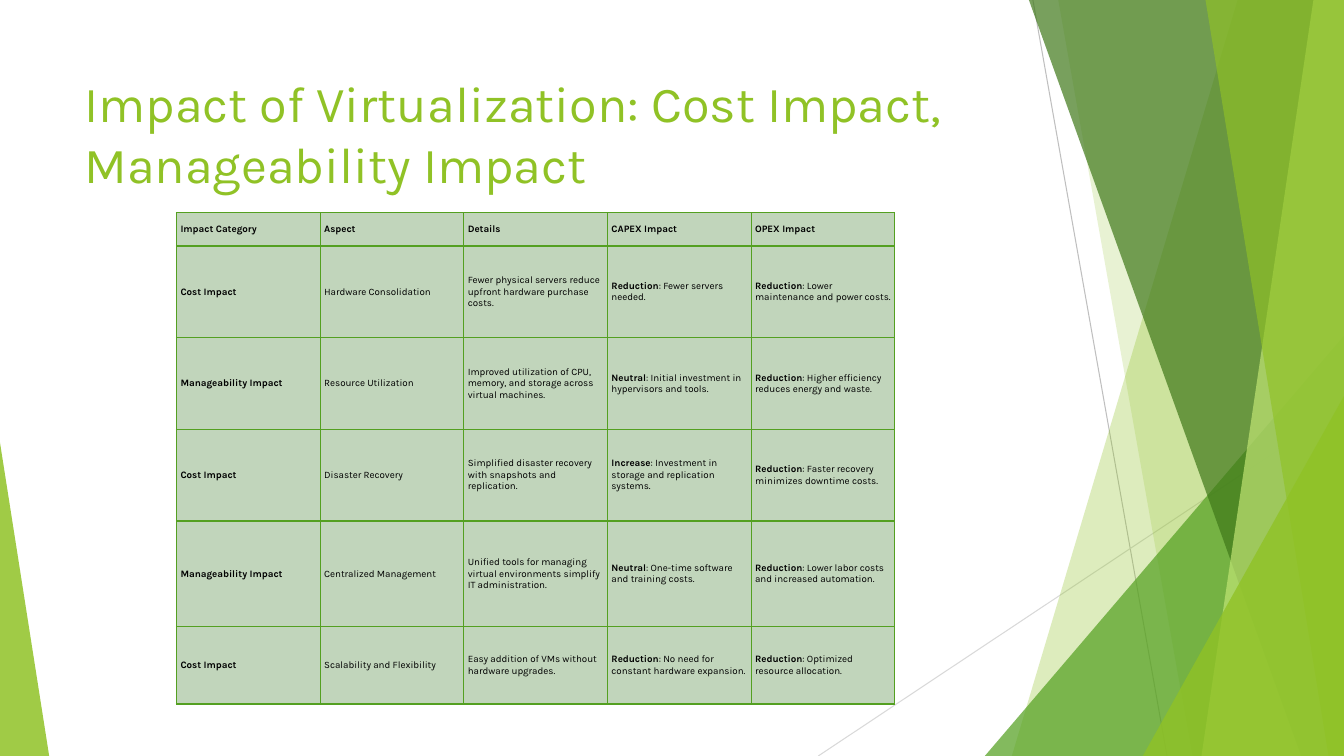
import pptx
import pptx.dml.color
import pptx.enum.shapes
import pptx.enum.text
import pptx.oxml
import pptx.oxml.ns
import pptx.util

Cm = pptx.util.Cm
Pt = pptx.util.Pt
qn = pptx.oxml.ns.qn

PAGE_WIDTH, PAGE_HEIGHT = 33.87, 19.05
FONT = "Karla"
LIME, GREEN, FOREST, PALE_LIME = "90C226", "54A021", "3F7819", "C0E474"
CELL_FILL = "C1D5BB"

ROW_HEIGHTS = [0.84, 2.31, 2.31, 2.31, 2.66, 1.95]
IMPACTS = [
    ["Impact Category", "Aspect", "Details", "CAPEX Impact", "OPEX Impact"],
    ["Cost Impact", "Hardware Consolidation",
     "Fewer physical servers reduce upfront hardware purchase costs.",
     "Reduction: Fewer servers needed.",
     "Reduction: Lower maintenance and power costs."],
    ["Manageability Impact", "Resource Utilization",
     "Improved utilization of CPU, memory, and storage across virtual machines.",
     "Neutral: Initial investment in hypervisors and tools.",
     "Reduction: Higher efficiency reduces energy and waste."],
    ["Cost Impact", "Disaster Recovery",
     "Simplified disaster recovery with snapshots and replication.",
     "Increase: Investment in storage and replication systems.",
     "Reduction: Faster recovery minimizes downtime costs."],
    ["Manageability Impact", "Centralized Management",
     "Unified tools for managing virtual environments simplify IT administration.",
     "Neutral: One-time software and training costs.",
     "Reduction: Lower labor costs and increased automation."],
    ["Cost Impact", "Scalability and Flexibility",
     "Easy addition of VMs without hardware upgrades.",
     "Reduction: No need for constant hardware expansion.",
     "Reduction: Optimized resource allocation."],
]


def color(value):
    return pptx.dml.color.RGBColor.from_string(value)


def paint(shape, fill, opacity):
    """Fill a shape with a see-through colour and drop its outline."""
    shape.shadow.inherit = False
    shape.fill.solid()
    shape.fill.fore_color.rgb = color(fill)
    shape.line.fill.background()
    solid = shape.fill._xPr.find(qn("a:solidFill"))
    alpha = pptx.oxml.parse_xml(
        f'<a:alpha {pptx.oxml.ns.nsdecls("a")} val="{opacity * 1000}"/>')
    solid[0].append(alpha)


def style(span, size, text_color, bold=False):
    span.font.name = FONT
    span.font.size = Pt(size)
    span.font.color.rgb = color(text_color)
    span.font.bold = bold


def add_ray(page, start, end, line_color):
    ray = page.shapes.add_connector(
        pptx.enum.shapes.MSO_CONNECTOR.STRAIGHT,
        *(Cm(value) for value in start + end))
    ray.line.color.rgb = color(line_color)
    ray.line.width = Pt(0.75)
    properties = ray._element.spPr
    properties.append(properties.makeelement(qn("a:effectLst"), {}))


def add_triangle(page, left, top, width, height, apex, fill, opacity):
    triangle = page.shapes.add_shape(
        pptx.enum.shapes.MSO_SHAPE.ISOSCELES_TRIANGLE,
        Cm(left), Cm(top), Cm(width), Cm(height))
    triangle.adjustments[0] = apex
    paint(triangle, fill, opacity)


def add_right_facets(page, left, top, width, height):
    right, bottom = left + width, top + height

    def add_band(top_offset, bottom_offset, fill, opacity):
        builder = page.shapes.build_freeform(
            Cm(left + top_offset), Cm(top))
        builder.add_line_segments([
            (Cm(right), Cm(top)), (Cm(right), Cm(bottom)),
            (Cm(left + bottom_offset), Cm(bottom))], close=True)
        paint(builder.convert_to_shape(), fill, opacity)

    def add_corner(x_offset, y_offset, fill, opacity):
        add_triangle(page, left + x_offset, top + y_offset,
                     width - x_offset, height - y_offset, 1, fill, opacity)

    # Thin rays behind the facets
    add_ray(page, (left + 5.41, top), (left + 8.79, bottom), "BFBFBF")
    add_ray(page, (right, top + 10.24), (left, bottom), "D9D9D9")

    # Overlapping facets, back to front
    add_band(10.57, 4.88, LIME, 30)
    add_band(6.05, 9.43, LIME, 20)
    add_corner(4.2, 8.46, GREEN, 72)
    add_band(5.31, 12.17, FOREST, 70)
    add_band(12.48, 9.66, PALE_LIME, 70)
    add_band(9.76, 12.86, LIME, 65)
    add_corner(8.18, 9.98, LIME, 80)


def add_title(page, left, top, width, height):
    box = page.shapes.add_textbox(Cm(left), Cm(top), Cm(width), Cm(height))
    frame = box.text_frame
    frame.word_wrap = True
    frame.vertical_anchor = pptx.enum.text.MSO_ANCHOR.TOP
    frame.text = "Impact of Virtualization: Cost Impact, Manageability Impact"
    style(frame.paragraphs[0].runs[0], 36, LIME)


def add_borders(cell):
    properties = cell._tc.get_or_add_tcPr()
    for index, side in enumerate(("lnL", "lnR", "lnT", "lnB")):
        border = pptx.oxml.parse_xml(
            f'<a:{side} {pptx.oxml.ns.nsdecls("a")} w="12700"><a:solidFill>'
            f'<a:srgbClr val="{GREEN}"/></a:solidFill></a:{side}>')
        properties.insert(index, border)


def fill_cell(cell, text, bold):
    cell.fill.solid()
    cell.fill.fore_color.rgb = color(CELL_FILL)
    add_borders(cell)
    cell.vertical_anchor = pptx.enum.text.MSO_ANCHOR.MIDDLE
    cell.margin_left = cell.margin_right = Cm(0.1)
    cell.margin_top = cell.margin_bottom = Cm(0.05)

    # The verdict before a colon is bold, its explanation is not
    verdict, colon, explanation = text.partition(":")
    para = cell.text_frame.paragraphs[0]
    para.text = verdict
    style(para.runs[0], 7, "000000", bold or bool(colon))
    if colon:
        span = para.add_run()
        span.text = colon + explanation
        style(span, 7, "000000")


def add_impact_table(page, left, top, width, height):
    column_count = len(IMPACTS[0])
    table = page.shapes.add_table(
        len(IMPACTS), column_count,
        Cm(left), Cm(top), Cm(width), Cm(height)).table
    table.first_row = table.horz_banding = False
    for column in table.columns:
        column.width = Cm(width / column_count)
    for row_index, texts in enumerate(IMPACTS):
        table.rows[row_index].height = Cm(ROW_HEIGHTS[row_index])
        for column_index, text in enumerate(texts):
            fill_cell(table.cell(row_index, column_index), text,
                      bold=row_index == 0 or column_index == 0)


def main():
    deck = pptx.Presentation()
    deck.slide_width, deck.slide_height = Cm(PAGE_WIDTH), Cm(PAGE_HEIGHT)
    page = deck.slides.add_slide(deck.slide_layouts[6])

    # Decoration
    add_right_facets(page, 20.62, 0, PAGE_WIDTH - 20.62, PAGE_HEIGHT)
    add_triangle(page, 0, 11.15, 1.24, PAGE_HEIGHT - 11.15, 0, LIME, 85)

    # Content
    add_title(page, 1.88, 1.7, 23.88, 3.66)
    add_impact_table(page, 4.45, 5.36, 18.1, sum(ROW_HEIGHTS))

    deck.save("out.pptx")


if __name__ == "__main__":
    main()
